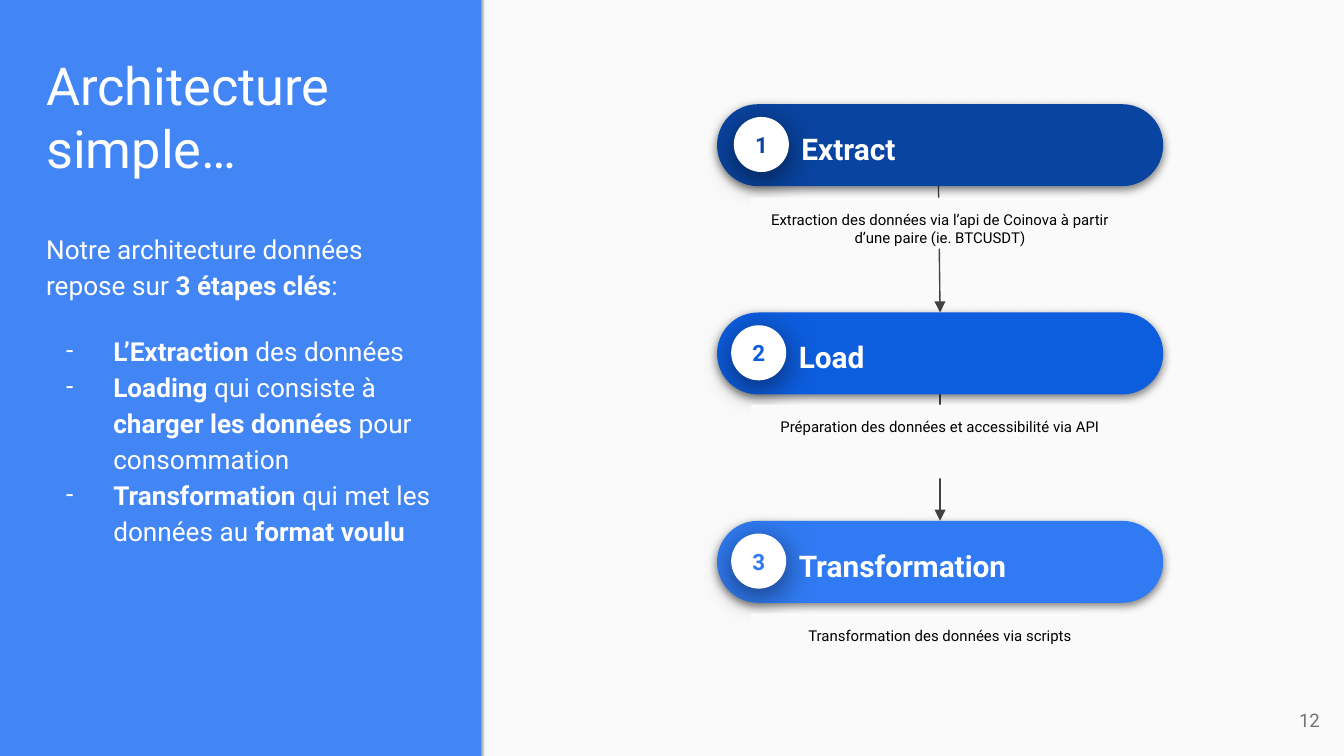
from lxml import etree
from pptx import Presentation, util as u
from pptx.dml.color import RGBColor
from pptx.enum import shapes, text
from pptx.oxml import parse_xml
from pptx.oxml.ns import nsdecls, qn

PX = 4572  # 200 px to the inch
KIND = shapes.MSO_SHAPE
ALIGN = text.PP_ALIGN
ANCHOR = text.MSO_ANCHOR
rgb = RGBColor.from_string


def write(shape, lines, size, color, bold=False, align=ALIGN.LEFT, anchor=ANCHOR.TOP, **form):
    """Fill a shape with one paragraph a line; an asterisk switches the weight."""
    frame = shape.text_frame
    look = {"word_wrap": True, "auto_size": text.MSO_AUTO_SIZE.NONE, "vertical_anchor": anchor}
    for side in ("left", "right", "top", "bottom"):
        look["margin_" + side] = 20 * PX
    for key, val in look.items():
        setattr(frame, key, val)
    for i, line in enumerate(lines):
        para = frame.paragraphs[0] if i == 0 else frame.add_paragraph()
        for key, val in {"alignment": align, **form}.items():
            setattr(para, key, val)
        for j, words in enumerate(line.split("*")):
            if not words:
                continue
            run = para.add_run()
            run.text = words
            font = {"name": "Roboto", "size": u.Pt(size), "bold": bold ^ (j % 2 == 1)}
            for key, val in font.items():
                setattr(run.font, key, val)
            run.font.color.rgb = rgb(color)


def put(kind, box, fill, shade=None):
    """Add a plain shape; shade is the shadow's opacity, blur and distance."""
    shape = slide.shapes.add_shape(kind, *[n * PX for n in box])
    shape.shadow.inherit = False
    shape.fill.solid()
    shape.fill.fore_color.rgb = rgb(fill)
    shape.line.fill.background()
    if shade:
        alpha, blur, dist = shade
        shape._element.spPr.find(qn("a:effectLst")).append(parse_xml(
            f'<a:outerShdw {nsdecls("a")} blurRad="{u.Pt(blur)}" dist="{u.Pt(dist)}" '
            f'dir="5400000" algn="bl" rotWithShape="0"><a:srgbClr val="000000">'
            f'<a:alpha val="{alpha * 1000}"/></a:srgbClr></a:outerShdw>'))
    return shape


deck = Presentation()
deck.slide_width, deck.slide_height = 2000 * PX, 1125 * PX
slide = deck.slides.add_slide(deck.slide_layouts[5])
slide.background.fill.solid()
slide.background.fill.fore_color.rgb = rgb("4285F4")

# Right panel and its shaded edge
put(KIND.RECTANGLE, (716, 0, 1284, 1125), "FAFAFA")
edge = put(KIND.RECTANGLE, (716, 0, 24, 1125), "F9F9F9")
edge.fill.gradient()
edge.fill.gradient_angle = 0
for stop, (pos, color) in zip(edge.fill.gradient_stops, [(0, "999999"), (0.25, "F9F9F9")]):
    stop.position = pos
    stop.color.rgb = rgb(color)

# Left column
title = slide.shapes.title
for key, val in {"left": 49, "top": 78, "width": 614, "height": 208}.items():
    setattr(title, key, val * PX)
write(title, ["Architecture simple…"], 28, "FFFFFF", anchor=ANCHOR.BOTTOM)

body = slide.shapes.add_textbox(*[n * PX for n in (49, 320, 614, 692)])
write(body, [
    "Notre architecture données repose sur* 3 étapes clés*:",
    "*L’Extraction* des données",
    "*Loading* qui consiste à *charger les données* pour consommation",
    "*Transformation* qui met les données au *format voulu*",
], 14, "FFFFFF", line_spacing=1.15)
items = body.text_frame.paragraphs[1:]
items[0].space_before = u.Pt(16)
for item in items:
    props = item._p.get_or_add_pPr()
    props.set("marL", str(100 * PX))
    props.set("indent", str(-70 * PX))
    tint = etree.SubElement(props, qn("a:buClr"))
    etree.SubElement(tint, qn("a:srgbClr"), val="FFFFFF")
    etree.SubElement(props, qn("a:buFont"), typeface="Roboto")
    etree.SubElement(props, qn("a:buChar"), char="-")

# Arrows, partly covered by the captions
for ends in [(1399, 580, 1399, 775), (1396, 234, 1399, 465)]:
    arrow = slide.shapes.add_connector(shapes.MSO_CONNECTOR.STRAIGHT, *[n * PX for n in ends])
    arrow.line.color.rgb = rgb("424242")
    arrow.line.width = u.Pt(0.75)
    etree.SubElement(arrow.line._get_or_add_ln(), qn("a:tailEnd"), type="triangle")
    etree.SubElement(arrow._element.spPr, qn("a:effectLst"))

# Steps: name, colour, left of disc, caption, caption top and height
steps = [
    ("Extract", "0944A1", 1092,
     "Extraction des données via l’api de Coinova à partir d’une paire (ie. BTCUSDT)", 294, 76),
    ("Load", "0D5DDF", 1088, "Préparation des données et accessibilité via API", 602, 110),
    ("Transformation", "307BF3", 1088, "Transformation des données via scripts", 913, 68),
]
for i, (name, color, left, note, top, high) in enumerate(steps):
    y = 155 + 310 * i
    pill = put(KIND.ROUNDED_RECTANGLE, (1067, y, 664, 122), color, (50, 4.5, 1.5))
    pill.adjustments[0] = 0.5
    disc = put(KIND.OVAL, (left, y + 19, 82, 82), "FFFFFF", (55, 18, 4))
    write(disc, [str(i + 1)], 12, color, True, ALIGN.CENTER, ANCHOR.MIDDLE)
    label = slide.shapes.add_textbox(*[n * PX for n in (left + 81, y + 19, 510, 86)])
    write(label, [name], 16, "FFFFFF", True, anchor=ANCHOR.MIDDLE, line_spacing=1.15)
    caption = put(KIND.RECTANGLE, (1117, top, 564, high), "FAFAFA")
    write(caption, [note], 8, "000000", align=ALIGN.CENTER, space_after=u.Pt(16))

number = slide.shapes.add_textbox(*[n * PX for n in (1864, 1028, 120, 86)])
write(number, ["12"], 10, "737373", align=ALIGN.RIGHT, anchor=ANCHOR.MIDDLE)

deck.save("out.pptx")
